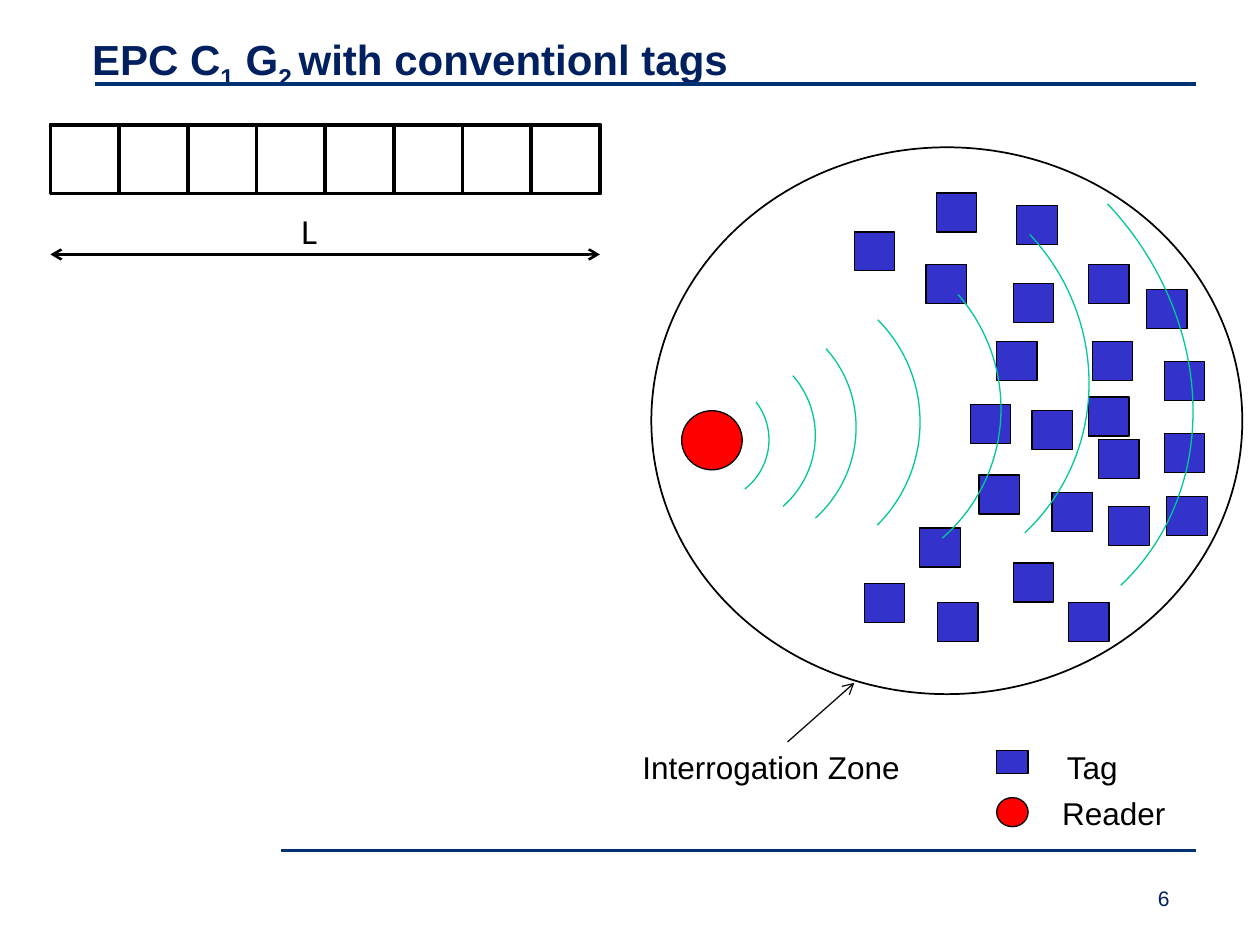
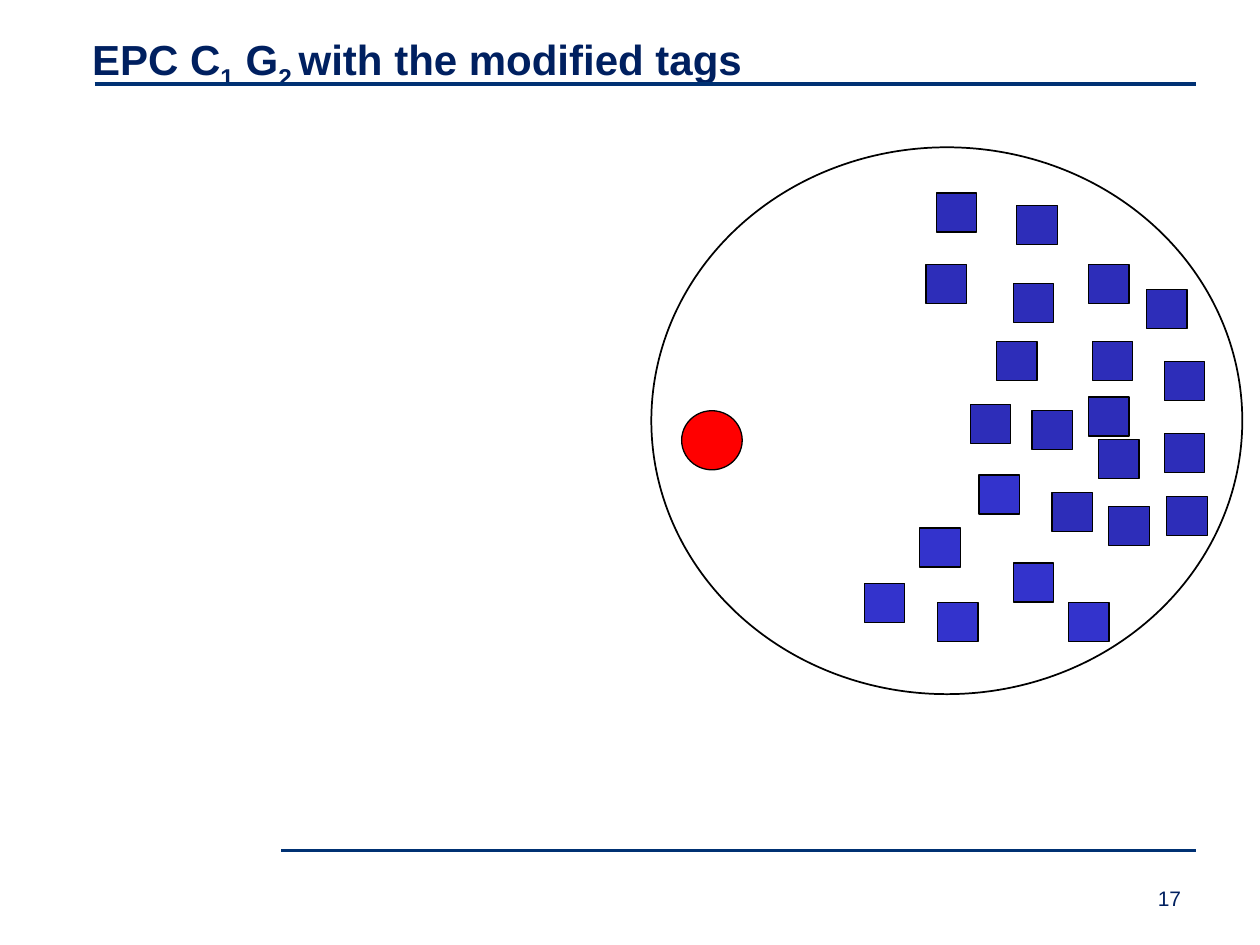
from lxml import etree
from pptx import Presentation
from pptx.dml.color import RGBColor
from pptx.enum import shapes, text
from pptx.oxml import ns
from pptx.util import Pt

NAVY = RGBColor(0x00, 0x20, 0x60)
RULE = RGBColor(0x00, 0x31, 0x73)
BLACK = RGBColor(0, 0, 0)
INK = RGBColor(0x0D, 0x0D, 0x0D)
BLUE = RGBColor(0x33, 0x33, 0xCC)
DEEP = RGBColor(0x2D, 0x2D, 0xB9)
RED = RGBColor(0xFF, 0, 0)
GREEN = RGBColor(0x00, 0xC8, 0x96)

RECT = shapes.MSO_SHAPE.RECTANGLE
OVAL = shapes.MSO_SHAPE.OVAL
ARC = shapes.MSO_SHAPE.ARC

HEAD = {"name": "Arial", "size": Pt(24), "bold": True}
LABEL = {"name": "Arial", "size": Pt(18)}
SPAN = {"name": "Lato", "size": Pt(18)}
PAGE = {"name": "Arial", "size": Pt(12)}

TAG = (23.2, 22.3)
UPPER = [
    (581, 117.4), (622, 151.2), (529.2, 151.2), (579, 162), (569.5, 195.1),
    (554.4, 231.1), (535, 110.2), (622, 226.8), (589.7, 234.7),
    (655.2, 165.6), (665.3, 206.6), (624.2, 195.1), (665.3, 247.7),
    (601.2, 281.5), (627.8, 251.3), (633.6, 289.4), (666.7, 283.7),
]
LOWER = [(559.4, 271.4), (579, 321.8), (525.6, 301.7), (610.6, 344.2),
         (493.9, 333.4), (535.7, 344.2)]
EXTRA = (488.2, 132.5)
WAVES = [
    ((368.6, 216, 70.6, 71.3), 52.1),
    ((360.7, 196.6, 104.4, 107.3), 48.5),
    ((352.8, 176.4, 135.4, 139), 47.8),
    ((360, 158.4, 165.6, 166.3), 45),
    ((374.4, 134.6, 198, 196.6), 48.9),
    ((379.4, 96.5, 244.8, 237.6), 46.8),
    ((364.3, 71.3, 327.6, 288), 46.7),
]
CELLS, LEFT, TOP, SIDE = 8, 28.8, 71.3, 39.25


def pts(vals):
    return [Pt(v) for v in vals]


class Deck:
    def __init__(self):
        self.show = Presentation()
        self.show.slide_width, self.show.slide_height = pts((720, 540))

    def slide(self, topic, page):
        page_lay = self.show.slide_layouts[5]
        self.cur = self.show.slides.add_slide(page_lay)
        self.pool = self.cur.shapes
        self.line((54, 48.2), (683.3, 48.2), RULE, 2.25)
        self.label(page, (654.5, 502.6, 51, 21.6), PAGE, NAVY)
        self.line((160.6, 486), (683.3, 486), RULE, 2.25)
        self.title(topic)

    def run(self, para, words, look, color):
        run = para.add_run()
        run.text = words
        for key, val in look.items():
            setattr(run.font, key, val)
        run.font.color.rgb = color
        return run

    def title(self, topic):
        box = self.cur.shapes.title
        spot = zip(("left", "top", "width", "height"),
                   pts((45.4, 15.8, 648, 57.6)))
        for key, val in spot:
            setattr(box, key, val)
        frame = box.text_frame
        frame.auto_size = text.MSO_AUTO_SIZE.NONE
        frame.vertical_anchor = text.MSO_ANCHOR.TOP
        para = frame.paragraphs[0]
        para.alignment = text.PP_ALIGN.LEFT
        for i, words in enumerate(("EPC C", "1", " G", "2 ", topic)):
            run = self.run(para, words, HEAD, NAVY)
            if i % 2:
                run._r.get_or_add_rPr().set("baseline", "-25000")

    def label(self, words, spot, look=LABEL, color=BLACK, wrap=True):
        frame = self.pool.add_textbox(*pts(spot)).text_frame
        frame.word_wrap = wrap
        frame.auto_size = text.MSO_AUTO_SIZE.SHAPE_TO_FIT_TEXT
        self.run(frame.paragraphs[0], words, look, color)

    def shape(self, kind, spot, fill=None, color=BLACK, width=0.75, turn=0):
        item = self.pool.add_shape(kind, *pts(spot))
        item.shadow.inherit = False
        if fill is None:
            item.fill.background()
        else:
            item.fill.solid()
            item.fill.fore_color.rgb = fill
        item.line.color.rgb = color
        item.line.width = Pt(width)
        item.rotation = turn

    def line(self, start, end, color, width, tips=()):
        item = self.pool.add_connector(
            shapes.MSO_CONNECTOR.STRAIGHT, *pts(start + end))
        item.line.color.rgb = color
        item.line.width = Pt(width)
        edge = item.line._get_or_add_ln()
        for tip in tips:
            etree.SubElement(edge, ns.qn(f"a:{tip}")).set("type", "arrow")
        etree.SubElement(item._element.spPr, ns.qn("a:effectLst"))

    def tags(self, spots, fill):
        for spot in spots:
            self.shape(RECT, spot + TAG, fill)

    def zone(self):
        self.shape(OVAL, (372.2, 84.2, 337.7, 312.5), width=1)
        self.shape(OVAL, (389.5, 234.7, 34.6, 33.8), RED)

    def frame(self):
        wide = CELLS * SIDE
        for i in range(CELLS):
            self.shape(RECT, (LEFT + i * SIDE, TOP, SIDE, SIDE), width=2)
        self.shape(RECT, (LEFT, TOP, wide, SIDE), width=2)
        self.line((LEFT, 145.4), (LEFT + wide, 145.4), BLACK, 1.5,
                  ("headEnd", "tailEnd"))
        self.label("L", (164.9, 118, 24.5, 28.8), SPAN, wrap=False)

    def legend(self):
        self.pool = self.cur.shapes.add_group_shape().shapes
        self.label("Reader", (599.8, 450, 77.8, 28.8))
        self.label("Tag", (602.6, 424, 87, 28.8))
        self.shape(RECT, (569.5, 429, 18, 13), BLUE)
        self.shape(OVAL, (569.5, 455.8, 18, 16.6), RED)
        self.pool = self.cur.shapes

    def waves(self):
        for spot, turn in WAVES:
            self.shape(ARC, spot, color=GREEN, turn=turn)


def main():
    deck = Deck()

    deck.slide("with conventionl tags", "6")
    deck.frame()
    deck.zone()
    deck.tags(UPPER + LOWER + [EXTRA], BLUE)
    deck.legend()
    deck.line((450, 424), (488.2, 390.2), INK, 0.75, ("tailEnd",))
    deck.label("Interrogation Zone", (360, 424, 188, 28.8))
    deck.waves()

    deck.slide("with the modified tags", "17")
    deck.zone()
    deck.tags(UPPER, DEEP)
    deck.tags(LOWER, BLUE)

    deck.show.save("out.pptx")


if __name__ == "__main__":
    main()
